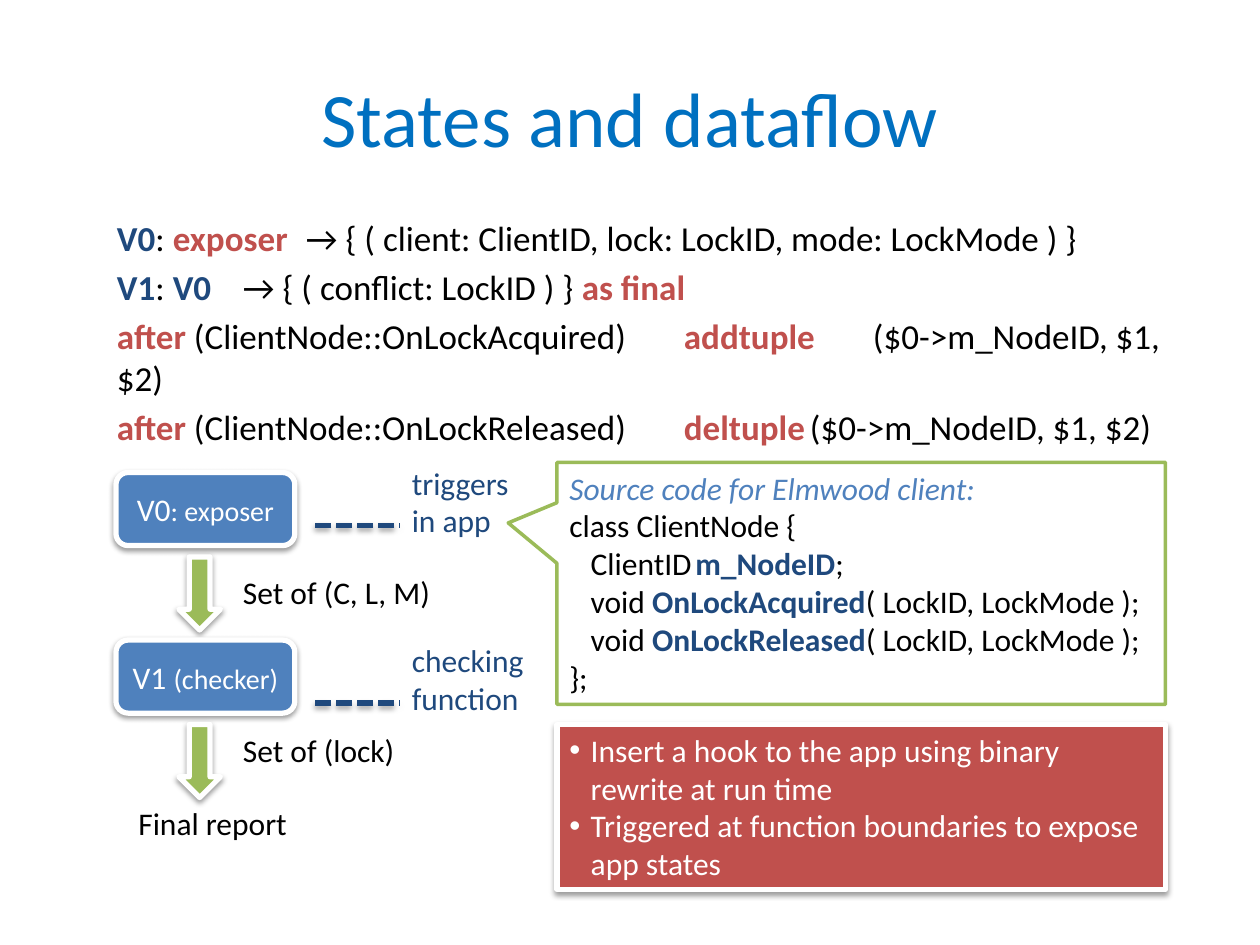
from lxml import etree
from pptx import Presentation
from pptx.dml.color import RGBColor
from pptx.enum.dml import MSO_LINE
from pptx.enum.shapes import MSO_CONNECTOR, MSO_SHAPE
from pptx.enum.text import MSO_ANCHOR, PP_ALIGN
from pptx.oxml.ns import qn
from pptx.util import Inches, Pt

ROUNDED = MSO_SHAPE.ROUNDED_RECTANGLE
DOWN_ARROW = MSO_SHAPE.DOWN_ARROW
CALLOUT = MSO_SHAPE.RECTANGULAR_CALLOUT
RECTANGLE = MSO_SHAPE.RECTANGLE
STRAIGHT = MSO_CONNECTOR.STRAIGHT
DASH = MSO_LINE.SQUARE_DOT
MIDDLE, TOP = MSO_ANCHOR.MIDDLE, MSO_ANCHOR.TOP
LEFT, CENTER = PP_ALIGN.LEFT, PP_ALIGN.CENTER

COLORS = {
    "title": "0070C0", "navy": "1F497D", "red": "C0504D", "blue": "4F81BD",
    "green": "9BBB59", "black": "000000", "white": "FFFFFF",
}


def color(name):
    return RGBColor.from_string(COLORS[name])


class SlideBuilder:
    font = "Calibri"
    size = 18

    def __init__(self, prs):
        self.slide = prs.slides.add_slide(prs.slide_layouts[6])

    def fill_text(self, s, paragraphs, size=size, default="black", align=LEFT,
                  anchor=TOP, before=0):
        """Each paragraph is a list of runs: (text, optional style dict)."""
        tf = s.text_frame
        tf.word_wrap = True
        tf.vertical_anchor = anchor
        for i, runs in enumerate(paragraphs):
            p = tf.paragraphs[0] if i == 0 else tf.add_paragraph()
            p.alignment = align
            p.space_before = Pt(before)
            for text, *style in runs:
                look = style[0] if style else {}
                for n, part in enumerate(text.split("\n")):
                    if n:
                        p.add_line_break()
                    r = p.add_run()
                    r.text = part
                    r.font.name = self.font
                    r.font.size = Pt(look.get("size", size))
                    r.font.bold = look.get("bold", False)
                    r.font.italic = look.get("italic", False)
                    r.font.color.rgb = color(look.get("color", default))
        return tf

    def text(self, x, y, w, h, paragraphs, **style):
        s = self.slide.shapes.add_textbox(Inches(x), Inches(y), Inches(w), Inches(h))
        return self.fill_text(s, paragraphs, **style)

    def shape(self, kind, x, y, w, h, fill=None, line="white", width=3):
        s = self.slide.shapes.add_shape(kind, Inches(x), Inches(y), Inches(w), Inches(h))
        s.shadow.inherit = False
        s.line.color.rgb = color(line)
        s.line.width = Pt(width)
        if fill:
            s.fill.solid()
            s.fill.fore_color.rgb = color(fill)
            self.shadow(s, 38, 1.6)
        else:
            s.fill.background()
        return s

    def dashes(self, x1, x2, y):
        s = self.slide.shapes.add_connector(STRAIGHT, Inches(x1), Inches(y), Inches(x2), Inches(y))
        s.line.color.rgb = color("navy")
        s.line.width = Pt(3)
        s.line.dash_style = DASH
        etree.SubElement(s._element.spPr, qn("a:effectLst"))
        self.shadow(s, 35, 1.8)

    def shadow(self, s, opacity, distance):
        effects = s._element.spPr.find(qn("a:effectLst"))
        outer = etree.SubElement(effects, qn("a:outerShdw"), blurRad=str(Pt(3.1)),
                                 dist=str(Pt(distance)), dir="5400000", rotWithShape="0")
        tint = etree.SubElement(outer, qn("a:srgbClr"), val=COLORS["black"])
        etree.SubElement(tint, qn("a:alpha"), val=str(opacity * 1000))

    def layout(self, p, margin=0, indent=0, tabs=(), bullet=None):
        pPr = p._p.get_or_add_pPr()
        pPr.set("marL", str(Inches(margin)))
        pPr.set("indent", str(Inches(indent)))
        if bullet:
            etree.SubElement(pPr, qn("a:buFont"), typeface="Arial")
            etree.SubElement(pPr, qn("a:buChar"), char=bullet)
        if tabs:
            stops = etree.SubElement(pPr, qn("a:tabLst"))
            for pos in tabs:
                etree.SubElement(stops, qn("a:tab"), pos=str(Inches(pos)), algn="l")


def main():
    prs = Presentation()
    prs.slide_width, prs.slide_height = Inches(10), Inches(7.5)
    b = SlideBuilder(prs)
    state = {"color": "navy", "bold": True}
    keyword = {"color": "red", "bold": True}

    # Title
    b.text(0.5, 0.3, 9, 1.25, [[("States and dataflow",)]], size=44,
           default="title", align=CENTER, anchor=MIDDLE)

    # State and trigger definitions
    rules = [
        [("V0", state), (": ",), ("exposer", keyword),
         ("\t→ { ( client: ClientID, lock: LockID, mode: LockMode ) }",)],
        [("V1", state), (": ",), ("V0", state),
         ("\t→ { ( conflict: LockID ) } ",), ("as final", keyword)],
    ]
    for event, action in (("Acquired", "addtuple"), ("Released", "deltuple")):
        rules.append([("after", keyword), (f" (ClientNode::OnLock{event})\t",),
                      (action, keyword), ("\t($0->m_NodeID, $1, $2)",)])
    tf = b.text(0.83, 1.67, 8.75, 1.7, rules, size=20, before=4)
    for p in tf.paragraphs:
        b.layout(p, tabs=(2.38, 4.17, 5.33))

    # State flow: box, arrow, output and dashed link to a note
    small = {"size": 16}
    stages = [
        (3.75, [("V0",), (": exposer", small)], "Set of (C, L, M)", 4.5,
         "triggers\nin app", 3.63, 4.17),
        (5.08, [("V1 ",), ("(checker)", small)], "Set of (lock)", 5.75,
         "checking\nfunction", 5.04, 5.58),
    ]
    for y, label, output, output_y, note, note_y, link_y in stages:
        s = b.shape(ROUNDED, 0.92, y, 1.42, 0.58, fill="blue")
        tf = b.fill_text(s, [label], default="white", align=CENTER, anchor=MIDDLE)
        tf.margin_left = tf.margin_right = 0
        b.shape(DOWN_ARROW, 1.42, y + 0.67, 0.33, 0.58, fill="green")
        b.text(1.83, output_y, 1.73, 0.4, [[(output,)]])
        b.text(3.17, note_y, 1.13, 0.71, [[(note,)]], default="navy")
        b.dashes(2.5, 3.17, link_y)
    b.text(1, 6.33, 1.4, 0.4, [[("Final report",)]])

    # Source code callout
    s = b.shape(CALLOUT, 4.42, 3.67, 4.83, 1.92, line="green", width=2)
    s.adjustments[0], s.adjustments[1] = -0.58, -0.25
    code = [
        [("Source code for Elmwood client:", {"color": "blue", "italic": True})],
        [("class ClientNode {",)],
        [("ClientID\t",), ("m_NodeID", state), (";",)],
    ]
    for method in ("OnLockAcquired", "OnLockReleased"):
        code.append([("void ",), (method, state), ("( LockID, LockMode );",)])
    code.append([("};",)])
    tf = b.text(4.42, 3.67, 5, 1.92, code)
    for p in tf.paragraphs[2:5]:
        b.layout(p, indent=0.17, tabs=(1.25,))

    # Hook explanation
    s = b.shape(RECTANGLE, 4.42, 5.75, 4.83, 1.31, fill="red")
    tf = b.fill_text(s, [
        [("Insert a hook to the app using binary\nrewrite at run time",)],
        [("Triggered at function boundaries to expose\napp states",)],
    ], default="white")
    for p in tf.paragraphs:
        b.layout(p, margin=0.17, indent=-0.17, bullet="•")

    prs.save("out.pptx")


if __name__ == "__main__":
    main()
